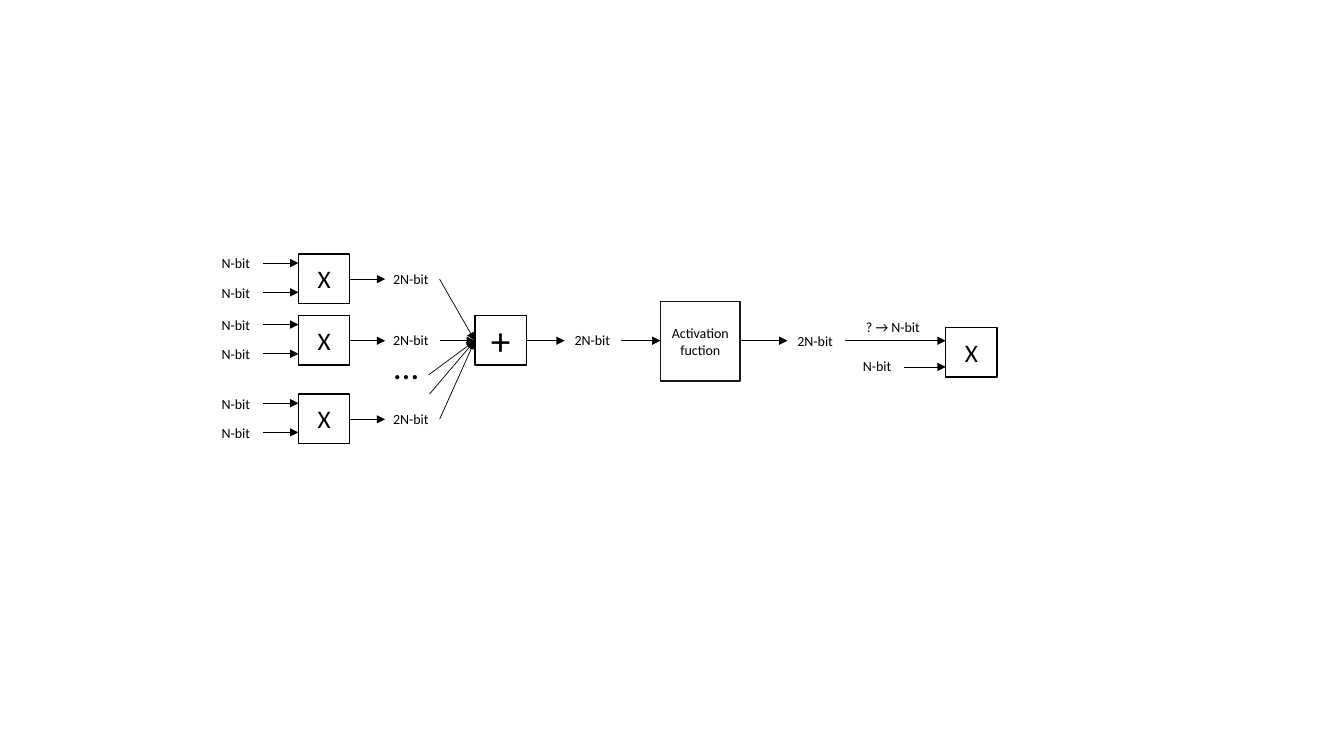
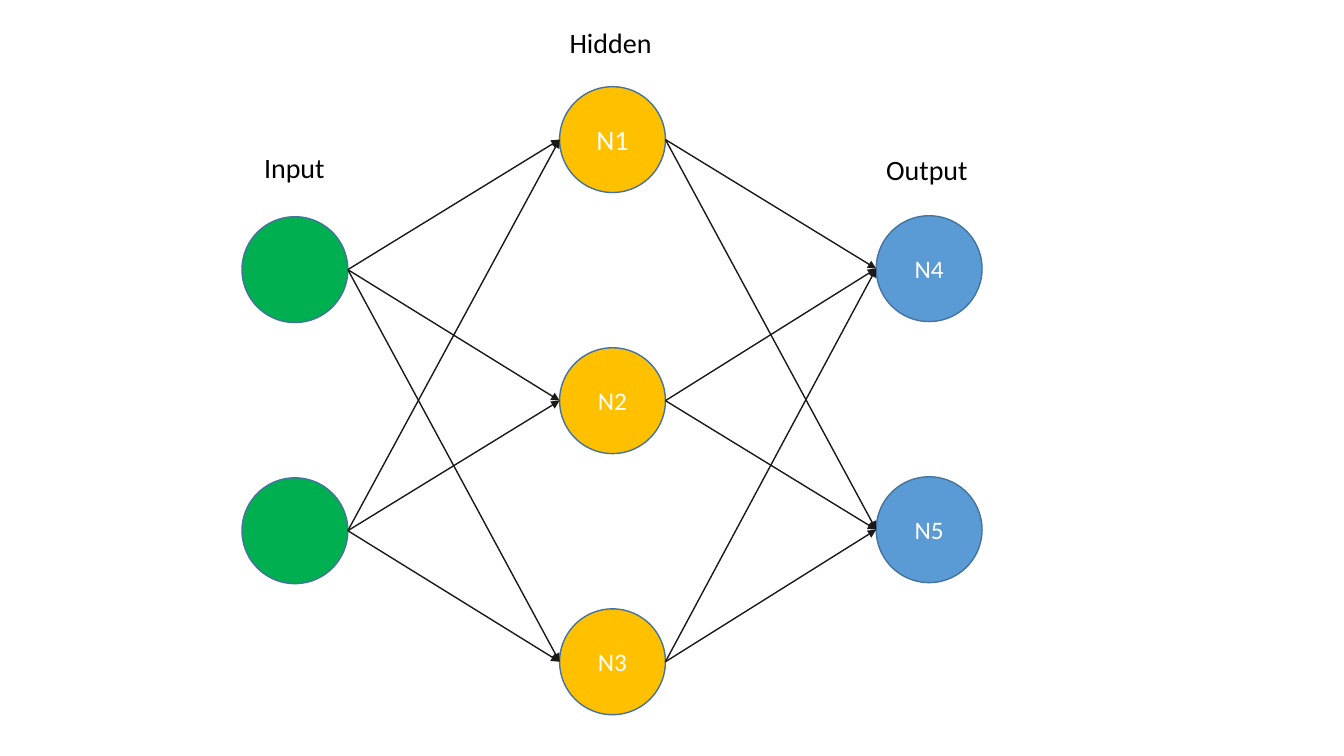
import dataclasses
import itertools

import pptx
import pptx.dml.color
import pptx.enum.shapes
import pptx.enum.text
import pptx.oxml.ns
import pptx.util
from lxml import etree

Inches = pptx.util.Inches
Pt = pptx.util.Pt
MSO_SHAPE = pptx.enum.shapes.MSO_SHAPE
PP_ALIGN = pptx.enum.text.PP_ALIGN


@dataclasses.dataclass(frozen=True)
class Theme:
    font: str = "Calibri"
    black: str = "000000"
    ink: str = "1A1A1A"
    white: str = "FFFFFF"
    rim: str = "43739E"
    green: str = "00B050"
    amber: str = "FFC000"
    blue: str = "5B9BD5"
    small: int = 10
    medium: int = 18
    large: int = 20
    dots: int = 25
    plus: int = 28
    thin: float = 0.5
    line: float = 1


class Deck:
    """Draws styled diagram elements on the current slide."""

    def __init__(self, prs, theme):
        self.prs = prs
        self.theme = theme
        self.slide = None

    def new_slide(self):
        self.slide = self.prs.slides.add_slide(self.prs.slide_layouts[6])

    def color(self, value):
        return pptx.dml.color.RGBColor.from_string(value)

    def set_text(self, sp, text, size, color, align):
        tf = sp.text_frame
        tf.word_wrap = True
        p = tf.paragraphs[0]
        p.text = text
        p.alignment = align
        p.font.name = self.theme.font
        p.font.size = Pt(size)
        p.font.color.rgb = self.color(color)

    def shape(self, kind, x, y, w, h, fill, line):
        sp = self.slide.shapes.add_shape(kind, Inches(x), Inches(y), Inches(w), Inches(h))
        sp.shadow.inherit = False
        sp.fill.solid()
        sp.fill.fore_color.rgb = self.color(fill)
        sp.line.color.rgb = self.color(line)
        sp.line.width = Pt(self.theme.line)
        sp.text_frame.vertical_anchor = pptx.enum.text.MSO_ANCHOR.MIDDLE
        return sp

    def box(self, text, x, y, size, w=0.51, h=0.49, line=None):
        t = self.theme
        sp = self.shape(MSO_SHAPE.RECTANGLE, x, y, w, h, t.white, line or t.black)
        self.set_text(sp, text, size, t.black, PP_ALIGN.CENTER)

    def node(self, text, x, y, d, fill, size):
        sp = self.shape(MSO_SHAPE.OVAL, x, y, d, d, fill, self.theme.rim)
        if text:
            self.set_text(sp, text, size, self.theme.white, PP_ALIGN.CENTER)

    def label(self, text, x, y, w, h=0.27, size=None):
        sp = self.slide.shapes.add_textbox(Inches(x), Inches(y), Inches(w), Inches(h))
        sp.text_frame.margin_right = 0
        self.set_text(sp, text, size or self.theme.small, self.theme.black, PP_ALIGN.LEFT)

    def arrow(self, x1, y1, x2, y2, color=None, width=None):
        cxn = self.slide.shapes.add_connector(
            pptx.enum.shapes.MSO_CONNECTOR.STRAIGHT,
            Inches(x1), Inches(y1), Inches(x2), Inches(y2))
        cxn.line.color.rgb = self.color(color or self.theme.black)
        cxn.line.width = Pt(width or self.theme.thin)
        qn = pptx.oxml.ns.qn
        spPr = cxn._element.spPr
        etree.SubElement(spPr.find(qn("a:ln")), qn("a:tailEnd"), type="triangle")
        etree.SubElement(spPr, qn("a:effectLst"))


def build_datapath(deck):
    t = deck.theme
    deck.new_slide()
    axis = 3.38
    sum_x = 4.71
    for y in (2.52, 3.13, 3.91):
        deck.box("X", 2.96, y, t.medium)
        for dy in (0, 0.29):
            deck.label("N-bit", 2.1, y - 0.04 + dy, 0.51)
            deck.arrow(2.61, y + 0.09 + dy, 2.96, y + 0.09 + dy)
        mid = y + 0.25
        deck.arrow(3.47, mid, 3.82, mid)
        deck.label("2N-bit", 3.8, y + 0.11, 0.56)
        deck.arrow(4.36, mid, sum_x, axis)
    deck.label("…", 3.81, 3.37, 0.54, 0.52, t.dots)
    for x, y in ((4.25, 3.72), (4.26, 3.91)):
        deck.arrow(x, y, sum_x, axis)

    deck.box("+", sum_x, 3.13, t.plus)
    deck.box("Activation fuction", 6.55, 2.99, t.small, 0.79, 0.79, t.ink)
    deck.box("X", 9.38, 3.25, t.medium)
    for x1, x2 in ((5.22, 5.6), (6.16, 6.55), (7.33, 7.81), (8.38, 9.38)):
        deck.arrow(x1, axis, x2, axis)
    deck.arrow(8.97, 3.64, 9.38, 3.64)
    deck.label("2N-bit", 5.6, 3.24, 0.56)
    deck.label("2N-bit", 7.81, 3.25, 0.56)
    deck.label("? → N-bit", 8.49, 3.11, 0.78)
    deck.label("N-bit", 8.46, 3.5, 0.51)


def build_network(deck):
    t = deck.theme
    deck.new_slide()
    d = 1.05
    pitch = 2.59
    layers = [
        (2.4, 2.15, t.green, ("", "")),
        (5.55, 0.86, t.amber, ("N1", "N2", "N3")),
        (8.69, 2.14, t.blue, ("N4", "N5")),
    ]
    for x, top, fill, names in layers:
        for i, name in enumerate(names):
            deck.node(name, x, top + i * pitch, d, fill, t.large if name == "N1" else t.medium)
    for (x1, top1, _, names1), (x2, top2, _, names2) in zip(layers, layers[1:]):
        for i, j in itertools.product(range(len(names1)), range(len(names2))):
            deck.arrow(x1 + d, top1 + i * pitch + d / 2, x2, top2 + j * pitch + d / 2,
                       t.ink, t.line)
    for text, x, y, w in (("Input", 2.52, 1.44, 0.81), ("Hidden", 5.55, 0.2, d),
                          ("Output", 8.69, 1.46, d)):
        deck.label(text, x, y, w, 0.44, t.large)


def main():
    prs = pptx.Presentation()
    prs.slide_width = Inches(13.33)
    prs.slide_height = Inches(7.5)
    deck = Deck(prs, Theme())
    build_datapath(deck)
    build_network(deck)
    prs.save("out.pptx")


if __name__ == "__main__":
    main()
